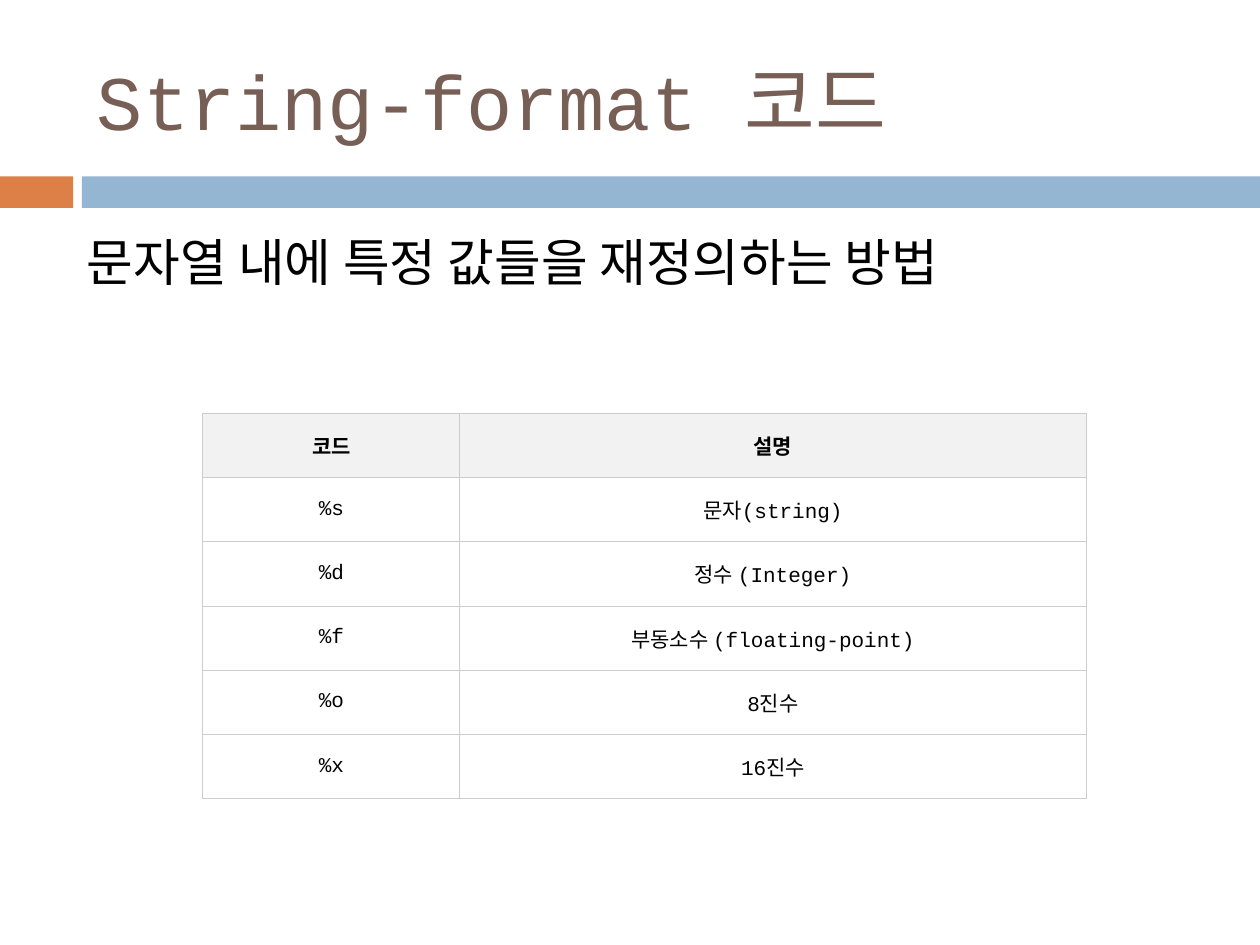
from dataclasses import dataclass

from lxml import etree
from pptx import Presentation
from pptx.dml.color import RGBColor
from pptx.enum.shapes import MSO_SHAPE
from pptx.enum.text import MSO_ANCHOR, PP_ALIGN
from pptx.oxml.ns import qn
from pptx.util import Inches, Pt

RECT = MSO_SHAPE.RECTANGLE
TOP, MIDDLE = MSO_ANCHOR.TOP, MSO_ANCHOR.MIDDLE
LEFT, CENTER = PP_ALIGN.LEFT, PP_ALIGN.CENTER


@dataclass(frozen=True)
class Theme:
    font: str = "Courier New"
    title: str = "775F55"
    ink: str = "000000"
    orange: str = "DD8047"
    blue: str = "94B6D2"
    head: str = "F2F2F2"
    cell: str = "FFFFFF"
    rule: str = "CCCCCC"
    rule_pt: float = 0.6
    title_pt: int = 44
    body_pt: int = 29
    cell_pt: int = 12


class Deck:
    def __init__(self, slide, theme):
        self.slide = slide
        self.theme = theme

    def put(self, frame, text, size, color, bold=False, align=LEFT, before=0):
        """Add one styled run to the frame's first paragraph."""
        para = frame.paragraphs[0]
        para.alignment = align
        para.space_before = Pt(before)
        run = para.add_run()
        run.text = text
        font = run.font
        font.name, font.size, font.bold = self.theme.font, Pt(size), bold
        font.color.rgb = RGBColor.from_string(color)

    def bar(self, box, color):
        shape = self.slide.shapes.add_shape(RECT, *map(Inches, box))
        shape.shadow.inherit = False
        shape.fill.solid()
        shape.fill.fore_color.rgb = RGBColor.from_string(color)
        shape.line.fill.background()

    def text(self, box, text, size, color, anchor=TOP, before=0):
        frame = self.slide.shapes.add_textbox(*map(Inches, box)).text_frame
        frame.word_wrap = True
        frame.vertical_anchor = anchor
        self.put(frame, text, size, color, before=before)

    def border(self, cell):
        """Rule all four sides; the lines must precede the cell's fill."""
        props = cell._tc.get_or_add_tcPr()
        for spot, side in enumerate(("lnL", "lnR", "lnT", "lnB")):
            line = etree.Element(qn(f"a:{side}"), w=str(Pt(self.theme.rule_pt)))
            fill = etree.SubElement(line, qn("a:solidFill"))
            etree.SubElement(fill, qn("a:srgbClr"), val=self.theme.rule)
            props.insert(spot, line)

    def table(self, spot, widths, height, rows):
        theme = self.theme
        size = (sum(widths), height * len(rows))
        grid = self.slide.shapes.add_table(
            len(rows), len(widths), *map(Inches, spot + size)).table
        for col, width in zip(grid.columns, widths):
            col.width = Inches(width)
        for r, texts in enumerate(rows):
            grid.rows[r].height = Inches(height)
            for c, text in enumerate(texts):
                cell = grid.cell(r, c)
                cell.vertical_anchor = MIDDLE
                cell.margin_left = cell.margin_right = Inches(0.11)
                cell.margin_top = cell.margin_bottom = Inches(0.05)
                cell.fill.solid()
                cell.fill.fore_color.rgb = RGBColor.from_string(
                    theme.cell if r else theme.head)
                self.border(cell)
                self.put(cell.text_frame, text, theme.cell_pt, theme.ink,
                         bold=r == 0, align=CENTER)


CODES = [
    ("코드", "설명"),
    ("%s", "문자(string)"),
    ("%d", "정수 (Integer)"),
    ("%f", "부동소수 (floating-point)"),
    ("%o", "8진수"),
    ("%x", "16진수"),
]


def main():
    show = Presentation()
    show.slide_width, show.slide_height = Inches(10), Inches(7.5)
    theme = Theme()
    deck = Deck(show.slides.add_slide(show.slide_layouts[6]), theme)
    deck.bar((0, 1.4, 0.58, 0.25), theme.orange)
    deck.bar((0.65, 1.4, 9.35, 0.25), theme.blue)
    deck.text((0.67, 0.25, 8.92, 1.08), "String-format 코드",
              theme.title_pt, theme.title, anchor=MIDDLE)
    deck.text((0.5, 1.78, 9, 1.73), " 문자열 내에 특정 값들을 재정의하는 방법",
              theme.body_pt, theme.ink, before=7)
    deck.table((1.61, 3.28), (2.04, 4.97), 0.51, CODES)
    show.save("out.pptx")


if __name__ == "__main__":
    main()
